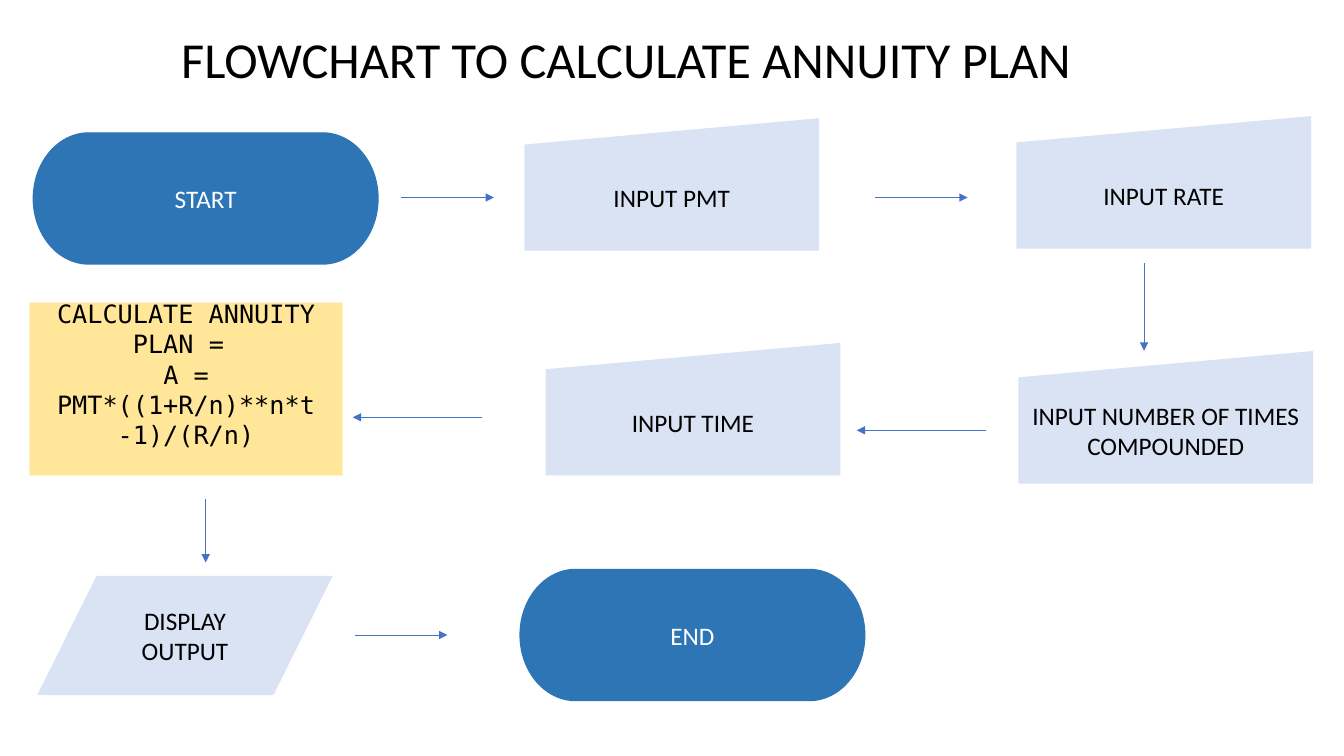
from lxml.etree import SubElement
from pptx import Presentation
from pptx.dml.color import RGBColor
from pptx.enum.shapes import MSO_CONNECTOR, MSO_SHAPE as Shape
from pptx.enum.text import MSO_ANCHOR, MSO_AUTO_SIZE, PP_ALIGN
from pptx.oxml.ns import qn
from pptx.util import Pt

COLORS = {
    "terminator": "2E75B6", "data": "DAE3F3",
    "process": "FFE699", "process_line": "FFF2CC",
    "arrow": "4472C4", "dark_text": "000000", "light_text": "FFFFFF",
}
TITLE = "FLOWCHART TO CALCULATE ANNUITY PLAN"
FORMULA = ["CALCULATE ANNUITY PLAN = ", "A = PMT*((1+R/n)**n*t -1)/(R/n)"]

# kind: preset, width, height, fill, line, text colour, font, bottom inset
KINDS = {
    "terminator": (Shape.FLOWCHART_TERMINATOR, 246.2, 93.6,
                   "terminator", "terminator", "light_text", "Calibri", 3.6),
    "input": (Shape.FLOWCHART_MANUAL_INPUT, 209.5, 93.6,
              "data", "data", "dark_text", "Calibri", 3.6),
    "process": (Shape.FLOWCHART_PROCESS, 223.9, 123.8,
                "process", "process_line", "dark_text", "DejaVu Sans Mono", 25),
    "output": (Shape.FLOWCHART_DATA, 209.5, 84.2,
               "data", "data", "dark_text", "Calibri", 3.6),
}
# kind, left, top, paragraphs
STEPS = [
    ("terminator", 23.8, 95, ["START"]),
    ("input", 375.1, 85, ["INPUT PMT"]),
    ("input", 726.5, 83.5, ["INPUT RATE"]),
    ("input", 727.9, 251.3, ["INPUT NUMBER OF TIMES COMPOUNDED"]),
    ("input", 390.2, 245.5, ["INPUT TIME"]),
    ("process", 20.9, 216, FORMULA),
    ("output", 27.4, 411.8, ["DISPLAY OUTPUT"]),
    ("terminator", 371.5, 406.8, ["END"]),
]
# start x, start y, horizontal run, vertical run
ARROWS = [
    (286.6, 141.1, 66.2, 0),
    (625, 141.1, 66.2, 0),
    (817.2, 187.9, 0, 62.7),
    (704.2, 307.4, -92.2, 0),
    (344.2, 298.1, -92.2, 0),
    (146.9, 356.4, 0, 45.4),
    (253.4, 453.6, 66.2, 0),
]


def color(name):
    return RGBColor.from_string(COLORS[name])


def write(frame, paragraphs, font, size, text_color, align):
    frame.word_wrap = True
    frame.text = "\n".join(paragraphs)
    for paragraph in frame.paragraphs:
        paragraph.alignment = align
        paragraph.font.name = font
        paragraph.font.size = Pt(size)
        paragraph.font.color.rgb = color(text_color)


def add_title(slide):
    box = slide.shapes.add_textbox(Pt(122.4), Pt(16.6), Pt(744.5), Pt(51.1))
    write(box.text_frame, [TITLE], "Calibri", 36, "dark_text", PP_ALIGN.LEFT)
    box.text_frame.auto_size = MSO_AUTO_SIZE.SHAPE_TO_FIT_TEXT


def add_step(slide, kind, left, top, paragraphs):
    preset, width, height, fill, line, text_color, font, inset = KINDS[kind]
    shape = slide.shapes.add_shape(preset, Pt(left), Pt(top), Pt(width), Pt(height))
    shape.shadow.inherit = False
    shape.fill.solid()
    shape.fill.fore_color.rgb = color(fill)
    shape.line.color.rgb = color(line)
    shape.line.width = Pt(1)
    frame = shape.text_frame
    frame.vertical_anchor = MSO_ANCHOR.MIDDLE
    frame.margin_bottom = Pt(inset)
    write(frame, paragraphs, font, 18, text_color, PP_ALIGN.CENTER)


def add_arrow(slide, x, y, across, down):
    arrow = slide.shapes.add_connector(
        MSO_CONNECTOR.STRAIGHT, Pt(x), Pt(y), Pt(x + across), Pt(y + down))
    arrow.line.color.rgb = color("arrow")
    arrow.line.width = Pt(0.5)
    SubElement(arrow.line._get_or_add_ln(), qn("a:tailEnd"), type="triangle")
    SubElement(arrow._element.spPr, qn("a:effectLst"))


def main():
    presentation = Presentation()
    presentation.slide_width, presentation.slide_height = Pt(960), Pt(540)
    slide = presentation.slides.add_slide(presentation.slide_layouts[6])
    add_title(slide)
    for step in STEPS:
        add_step(slide, *step)
    for arrow in ARROWS:
        add_arrow(slide, *arrow)
    presentation.save("out.pptx")


if __name__ == "__main__":
    main()
